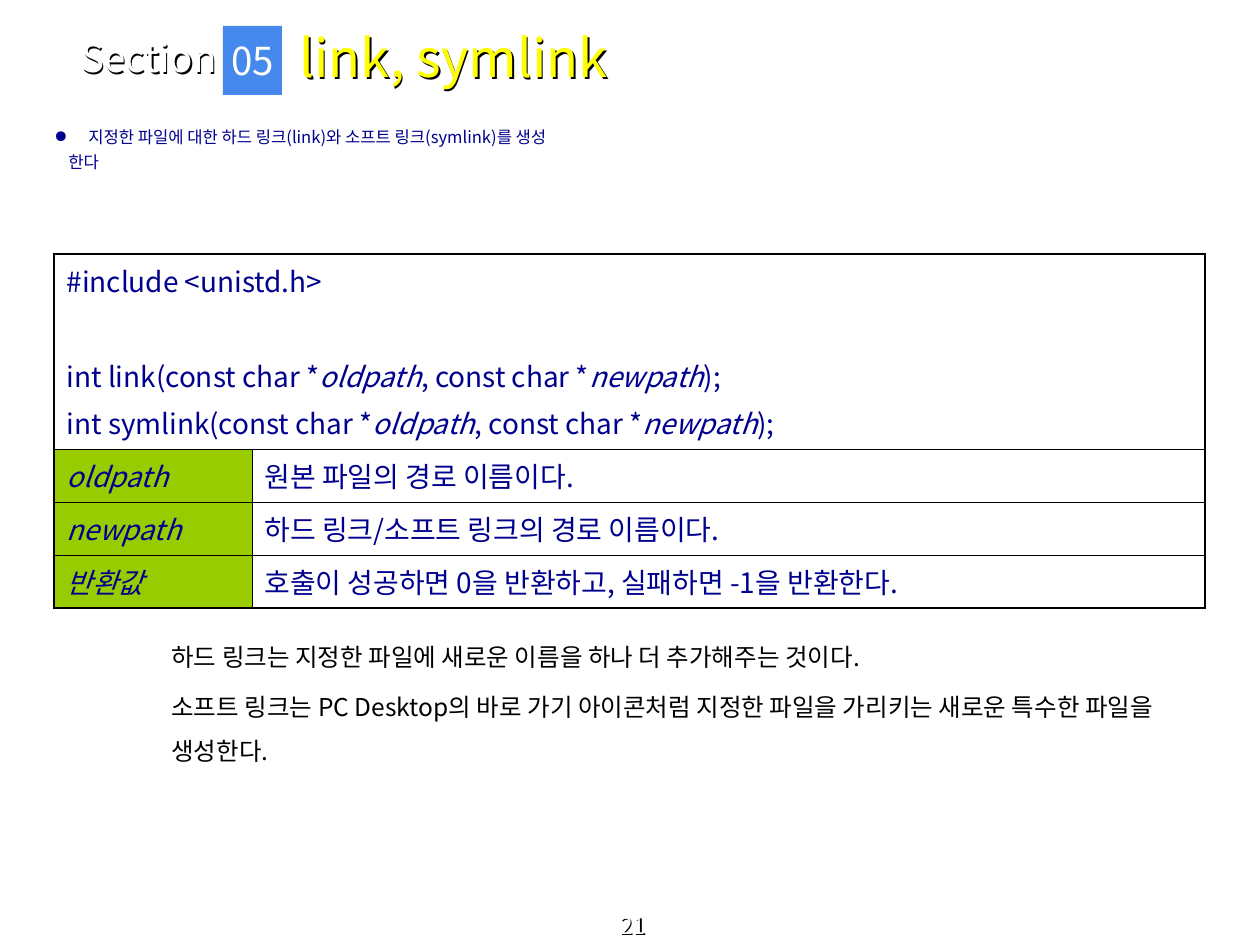
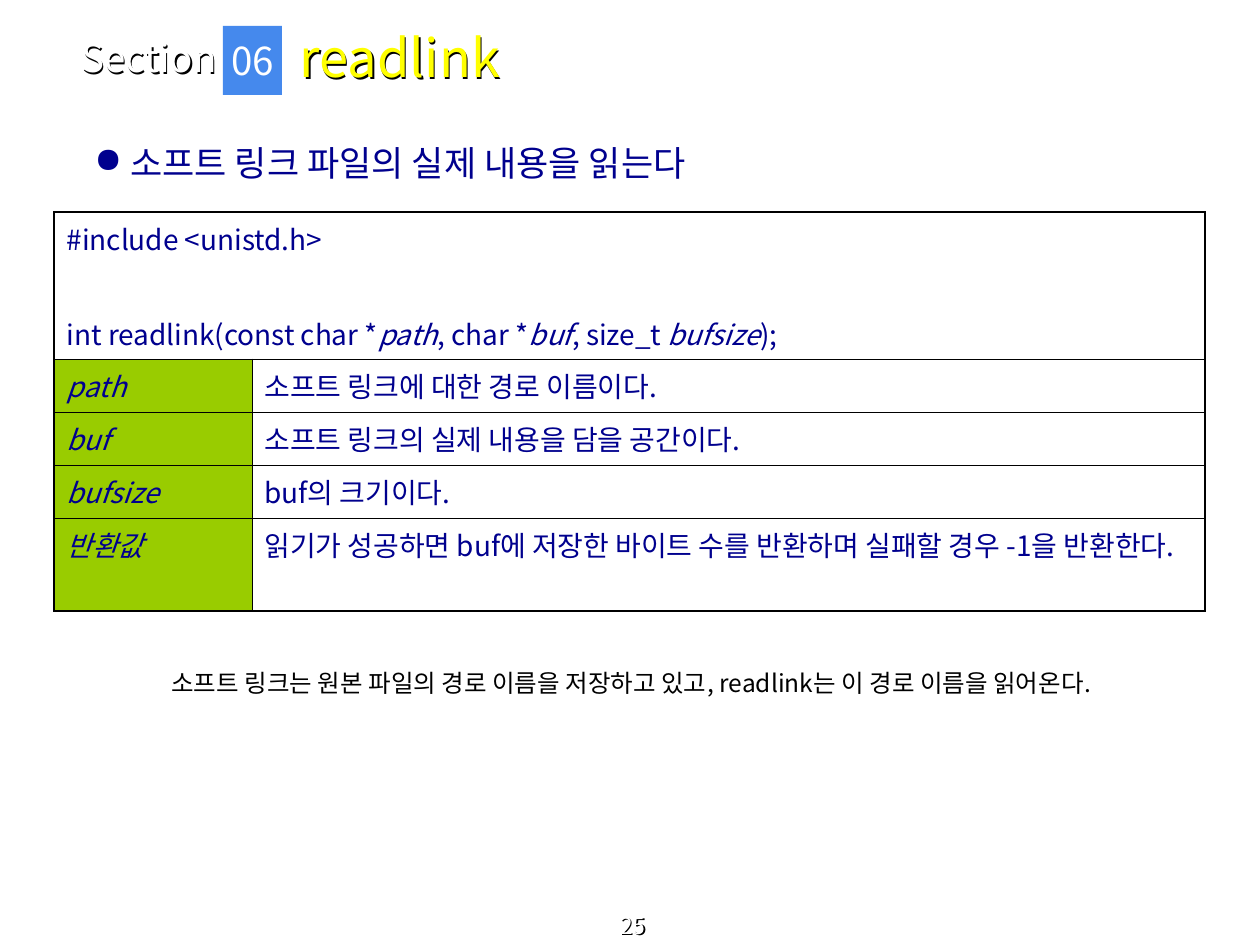
"""Build two slides that describe the link, symlink and readlink system calls."""
from lxml import etree
from pptx import Presentation
from pptx.dml.color import RGBColor
from pptx.enum.shapes import MSO_SHAPE
from pptx.enum.text import MSO_ANCHOR, MSO_AUTO_SIZE, PP_ALIGN
from pptx.oxml.ns import qn
from pptx.util import Inches, Pt

RECTANGLE = MSO_SHAPE.RECTANGLE
MIDDLE, BOTTOM, TOP = MSO_ANCHOR.MIDDLE, MSO_ANCHOR.BOTTOM, MSO_ANCHOR.TOP
LEFT, CENTER, JUSTIFY = PP_ALIGN.LEFT, PP_ALIGN.CENTER, PP_ALIGN.JUSTIFY
NO_AUTOFIT = MSO_AUTO_SIZE.NONE

FONT = "Noto Sans CJK KR"
NAVY = RGBColor(0x00, 0x00, 0x8E)
BLUE = RGBColor(0x45, 0x89, 0xED)
GREEN = RGBColor(0x99, 0xCC, 0x00)
YELLOW = RGBColor(0xFF, 0xFF, 0x00)
WHITE = RGBColor(0xFF, 0xFF, 0xFF)
BLACK = RGBColor(0x00, 0x00, 0x00)

PX = Inches(1) / 126
OUTER, INNER = Pt(1.08), Pt(0.45)

PAGES = [
    {
        "section": "05", "title": "link, symlink", "number": "21",
        "summary_at": (42, 125, 1176, 59),
        "summary": [
            ("지정한 파일에 대한 하드 링크(link)와 소프트 링크(symlink)를 생성",
             {"size": 9.5, "before": 5, "spacing": 0.8, "margin": 34, "bullet": "●"}),
            ("한다", {"size": 9.5, "before": 5, "spacing": 0.8, "margin": 14}),
        ],
        "table_top": 254, "row_heights": [195, 53, 53, 53],
        "code": ["#include <unistd.h>",
                 "int link(const char *|oldpath|, const char *|newpath|);",
                 "int symlink(const char *|oldpath|, const char *|newpath|);"],
        "rows": [("oldpath", "원본 파일의 경로 이름이다."),
                 ("newpath", "하드 링크/소프트 링크의 경로 이름이다."),
                 ("반환값", "호출이 성공하면 0을 반환하고, 실패하면 -1을 반환한다.")],
        "notes_at": (159, 621, 1067, 189), "notes_spacing": 1.5,
        "notes": ["하드 링크는 지정한 파일에 새로운 이름을 하나 더 추가해주는 것이다.",
                  "소프트 링크는 PC Desktop의 바로 가기 아이콘처럼 지정한 파일을 "
                  "가리키는 새로운 특수한 파일을 생성한다."],
    },
    {
        "section": "06", "title": "readlink", "number": "25",
        "summary_at": (82, 135, 687, 59),
        "summary": [("소프트 링크 파일의 실제 내용을 읽는다",
                     {"size": 20, "before": 5, "margin": 36, "bullet": "●"})],
        "table_top": 212, "row_heights": [147, 53, 53, 53, 93],
        "code": ["#include <unistd.h>",
                 "int readlink(const char *|path|, char *|buf|, size_t |bufsize|);"],
        "rows": [("path", "소프트 링크에 대한 경로 이름이다."),
                 ("buf", "소프트 링크의 실제 내용을 담을 공간이다."),
                 ("bufsize", "buf의 크기이다."),
                 ("반환값", "읽기가 성공하면 buf에 저장한 바이트 수를 반환하며 "
                         "실패할 경우 -1을 반환한다.")],
        "notes_at": (159, 662, 1067, 59), "notes_spacing": 1,
        "notes": ["소프트 링크는 원본 파일의 경로 이름을 저장하고 있고, "
                  "readlink는 이 경로 이름을 읽어온다."],
    },
]


def emu(*lengths):
    """Turn px lengths into EMU."""
    return [round(length * PX) for length in lengths]


def write(frame, text, size=16, color=NAVY, align=LEFT, before=0, spacing=1,
          margin=0, bullet=None, anchor=TOP, wrap=True):
    """Add a paragraph to a frame; parts between bars are italic."""
    frame.word_wrap = wrap
    frame.vertical_anchor = anchor
    para = frame.add_paragraph() if frame.text else frame.paragraphs[0]
    para.alignment = align
    para.space_before = Pt(before)
    para.line_spacing = spacing
    if margin:
        properties = para._p.get_or_add_pPr()
        indent = emu(margin)[0]
        properties.set("marL", str(indent))
        properties.set("indent", str(-indent if bullet else 0))
        if bullet:
            bullet_color = etree.SubElement(properties, qn("a:buClr"))
            etree.SubElement(bullet_color, qn("a:srgbClr"), val=str(color))
            etree.SubElement(properties, qn("a:buChar"), char=bullet)
    for index, part in enumerate(text.split("|")):
        if part:
            span = para.add_run()
            span.text = part
            span.font.size = Pt(size)
            span.font.italic = index % 2 == 1
            span.font.color.rgb = color
            span.font.name = FONT
            etree.SubElement(span.font._element, qn("a:ea"), typeface=FONT)


deck = Presentation()
deck.slide_width, deck.slide_height = emu(1260, 945)

for content in PAGES:
    page = deck.slides.add_slide(deck.slide_layouts[5])
    shapes = page.shapes

    title = shapes.title
    title.left, title.top, title.width, title.height = emu(287, 14, 818, 86)
    title.text_frame.auto_size = NO_AUTOFIT
    write(title.text_frame, content["title"], size=30, color=YELLOW, anchor=MIDDLE)

    section = shapes.add_textbox(*emu(69, 34, 243, 47))
    write(section.text_frame, "Section", size=22, color=WHITE, anchor=MIDDLE)

    number = shapes.add_textbox(*emu(6, 917, 1254, 28))
    write(number.text_frame, content["number"], size=13, color=WHITE,
          align=CENTER, anchor=BOTTOM)

    for box in (title, section, number):
        box.shadow.inherit = False
        effects = box._element.spPr.find(qn("a:effectLst"))
        shadow = etree.SubElement(effects, qn("a:outerShdw"), blurRad="0",
                                  dist=str(emu(2)[0]), dir="2700000")
        etree.SubElement(shadow, qn("a:srgbClr"), val=str(BLACK))

    badge = shapes.add_shape(RECTANGLE, *emu(223, 26, 59, 69))
    badge.shadow.inherit = False
    badge.fill.solid()
    badge.fill.fore_color.rgb = BLUE
    badge.line.fill.background()
    write(badge.text_frame, content["section"], size=22, color=WHITE,
          align=CENTER, anchor=MIDDLE, wrap=False)

    summary = shapes.add_textbox(*emu(*content["summary_at"]))
    for text, style in content["summary"]:
        write(summary.text_frame, text, **style)

    heights = content["row_heights"]
    frame = shapes.add_table(len(heights), 2,
                             *emu(54, content["table_top"], 1151, sum(heights)))
    table = frame.table
    table.first_row = table.horz_banding = False
    for column, width in zip(table.columns, emu(198, 953)):
        column.width = width
    for row, height in zip(table.rows, emu(*heights)):
        row.height = height

    header = table.cell(0, 0)
    header.merge(table.cell(0, 1))
    for index, line in enumerate(content["code"]):
        write(header.text_frame, line, before=31 if index == 1 else 4)
    for index, (name, meaning) in enumerate(content["rows"], start=1):
        write(table.cell(index, 0).text_frame, f"|{name}|", before=4)
        write(table.cell(index, 1).text_frame, meaning, before=4,
              align=LEFT if index == 1 else JUSTIFY)

    last = len(heights) - 1
    for r in range(last + 1):
        for c in range(2):
            cell = table.cell(r, c)
            if r and c == 0:
                cell.fill.solid()
                cell.fill.fore_color.rgb = GREEN
            else:
                cell.fill.background()
            sides = {"L": c == 0, "R": c == 1 or r == 0, "T": r == 0, "B": r == last}
            if cell.is_spanned:
                del sides["L"]
            properties = cell._tc.get_or_add_tcPr()
            for position, (side, is_outer) in enumerate(sides.items()):
                border = etree.Element(qn(f"a:ln{side}"), w=str(OUTER if is_outer else INNER))
                fill = etree.SubElement(border, qn("a:solidFill"))
                etree.SubElement(fill, qn("a:srgbClr"), val=str(BLACK))
                properties.insert(position, border)

    notes = shapes.add_textbox(*emu(*content["notes_at"]))
    for text in content["notes"]:
        write(notes.text_frame, text, size=14, color=BLACK, before=3.5,
              spacing=content["notes_spacing"])

deck.save("out.pptx")
